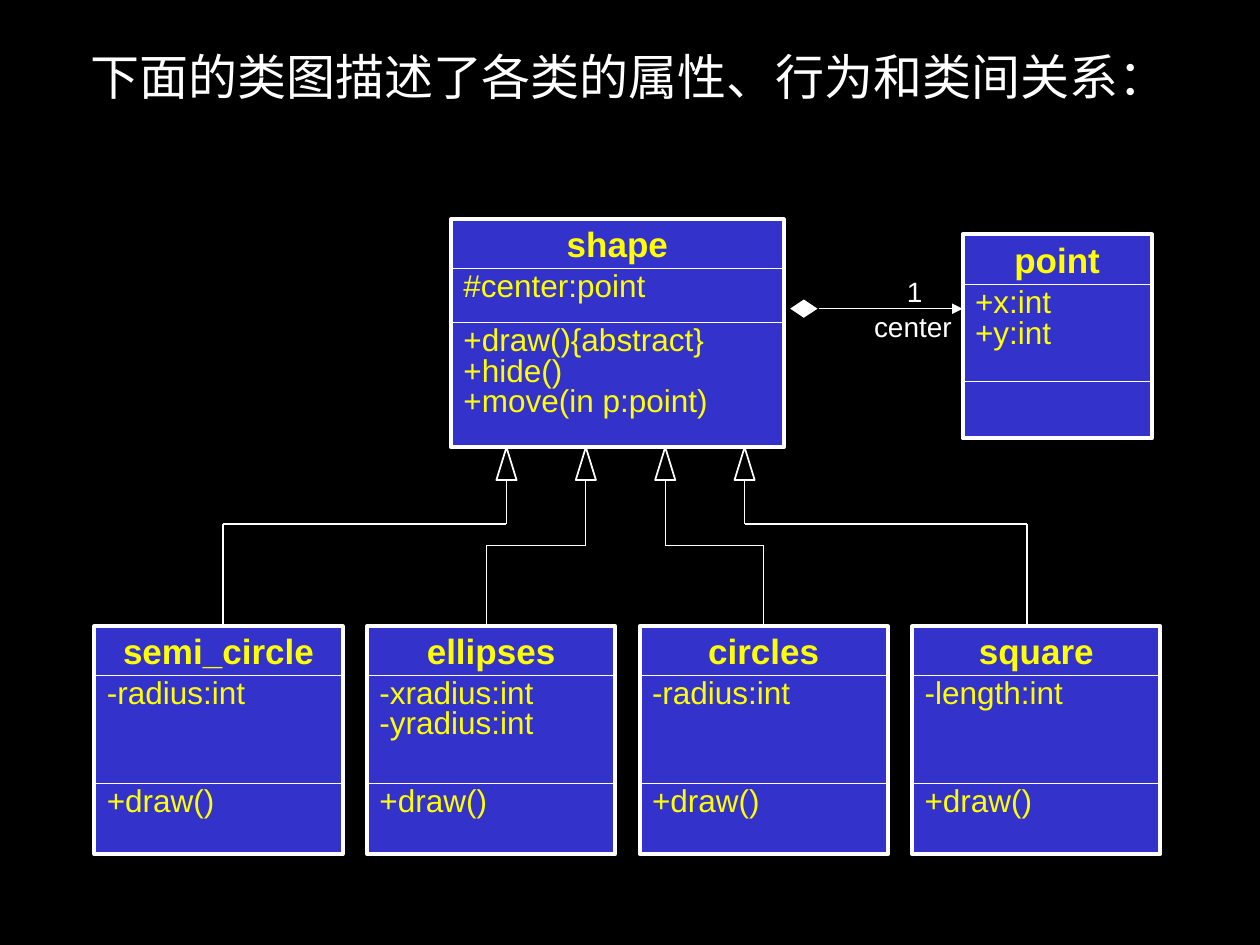
from lxml import etree
from pptx import Presentation
from pptx.dml.color import RGBColor
from pptx.enum.shapes import MSO_CONNECTOR, MSO_SHAPE
from pptx.enum.text import MSO_ANCHOR, PP_ALIGN
from pptx.oxml.ns import qn
from pptx.util import Inches, Pt

RECTANGLE, DIAMOND = MSO_SHAPE.RECTANGLE, MSO_SHAPE.DIAMOND
TRIANGLE = MSO_SHAPE.ISOSCELES_TRIANGLE
STRAIGHT = MSO_CONNECTOR.STRAIGHT
TOP, MIDDLE = MSO_ANCHOR.TOP, MSO_ANCHOR.MIDDLE
LEFT, CENTER = PP_ALIGN.LEFT, PP_ALIGN.CENTER

BLACK, WHITE, BLUE, YELLOW = "000000", "FFFFFF", "3333CC", "FFFF00"

# Text formats: frame, paragraph and font values
NAME = {
    "frame": {"vertical_anchor": MIDDLE, "margin_top": 0, "margin_bottom": 0, "word_wrap": False},
    "para": {"alignment": CENTER},
    "font": {"size": Pt(20), "bold": True},
    "color": YELLOW,
}
MEMBER = {
    "frame": {"vertical_anchor": TOP, "margin_top": Inches(0.04), "margin_bottom": 0,
              "word_wrap": False},
    "para": {"alignment": LEFT, "line_spacing": 0.8},
    "font": {"size": Pt(18)},
    "color": YELLOW,
}
LABEL = {
    "frame": {**NAME["frame"], "margin_left": 0, "margin_right": 0},
    "para": {"alignment": CENTER},
    "font": {"size": Pt(16)},
    "color": WHITE,
}
TITLE = {
    "frame": {"vertical_anchor": TOP, "word_wrap": True},
    "para": {"line_spacing": 1.5, "space_before": Pt(7)},
    "font": {"size": Pt(28)},
    "color": WHITE,
}

# Subclasses: name, attributes, x of the link at the box, y of its bend
CHILDREN = [
    ("semi_circle", ["-radius:int"], 1.77, 4.16),
    ("ellipses", ["-xradius:int", "-yradius:int"], 3.86, 4.33),
    ("circles", ["-radius:int"], 6.06, 4.33),
    ("square", ["-length:int"], 8.15, 4.16),
]
CHILD_LEFT, CHILD_TOP, CHILD_WIDTH = 0.75, 4.97, 1.97
CHILD_STEP = (7.24 - CHILD_LEFT) / (len(CHILDREN) - 1)
ARROW_X, ARROW_STEP, ARROW_TOP = 4.02, 0.63, 3.55
ARROW_WIDTH, ARROW_HEIGHT = 0.16, 0.26


def rgb(color):
    return RGBColor.from_string(color)


def set_values(target, values):
    for key, value in values.items():
        setattr(target, key, value)


def write_text(box, lines, style):
    frame = box.text_frame
    set_values(frame, style["frame"])
    for index, line in enumerate(lines):
        para = frame.paragraphs[0] if index == 0 else frame.add_paragraph()
        set_values(para, style["para"])
        span = para.add_run()
        span.text = line
        set_values(span.font, {"name": "Arial", **style["font"]})
        span.font.color.rgb = rgb(style["color"])


def add_text(shapes, bounds, text, style):
    box = shapes.add_textbox(*map(Inches, bounds))
    write_text(box, [text], style)
    return box


def add_outline(shapes, kind, bounds, fill=None, line=WHITE, width=0.75):
    box = shapes.add_shape(kind, *map(Inches, bounds))
    box.shadow.inherit = False
    if fill:
        box.fill.solid()
        box.fill.fore_color.rgb = rgb(fill)
    else:
        box.fill.background()
    box.line.color.rgb = rgb(line)
    box.line.width = Pt(width)
    return box


def add_line(shapes, start, end, arrow=False):
    line = shapes.add_connector(STRAIGHT, *map(Inches, (*start, *end)))
    line.line.color.rgb = rgb(WHITE)
    line.line.width = Pt(0.75)
    properties = line._element.spPr
    if arrow:
        etree.SubElement(properties.find(qn("a:ln")), qn("a:tailEnd"), type="triangle")
    etree.SubElement(properties, qn("a:effectLst"))
    return line


def add_class(shapes, left, top, width, heights, name, attributes, methods):
    """Stack the three compartments and return the frame around them."""
    y = top
    contents = [([name], NAME), (attributes, MEMBER), (methods, MEMBER)]
    for height, (lines, style) in zip(heights, contents):
        cell = add_outline(shapes, RECTANGLE, (left, y, width, height), BLUE)
        write_text(cell, lines, style)
        y += height
    return add_outline(shapes, RECTANGLE, (left, top, width, y - top), width=2.25)


def add_inheritance(shapes, frame, tip_x, bend_y, foot_x):
    add_outline(shapes, TRIANGLE,
                (tip_x - ARROW_WIDTH / 2, ARROW_TOP, ARROW_WIDTH, ARROW_HEIGHT), width=1)
    # A foot next to the middle of the top side is moved there and joined
    middle = (frame.left + frame.width / 2) / Inches(1)
    joined = abs(middle - foot_x) < 0.02
    if joined:
        foot_x = middle
    points = [(tip_x, ARROW_TOP + ARROW_HEIGHT), (tip_x, bend_y),
              (foot_x, bend_y), (foot_x, CHILD_TOP)]
    for start, end in zip(points, points[1:]):
        line = add_line(shapes, start, end)
    if joined:
        line.end_connect(frame, 0)


def add_association(shapes):
    add_outline(shapes, DIAMOND, (6.26, 2.37, 0.24, 0.16), WHITE, BLACK)
    add_line(shapes, (6.5, 2.45), (7.64, 2.45), arrow=True)
    add_text(shapes, (6.89, 2.49, 0.71, 0.2), "center", LABEL)
    add_text(shapes, (7.16, 2.21, 0.2, 0.2), "1", LABEL)


def main():
    deck = Presentation()
    deck.slide_width, deck.slide_height = Inches(10), Inches(7.5)
    page = deck.slides.add_slide(deck.slide_layouts[6])
    page.background.fill.solid()
    page.background.fill.fore_color.rgb = rgb(BLACK)

    def new_group():
        return page.shapes.add_group_shape().shapes

    # Title with a first-line indent
    title = add_text(page.shapes, (0.27, 0.09, 9.45, 7.28),
                     "下面的类图描述了各类的属性、行为和类间关系：", TITLE)
    title.text_frame.paragraphs[0]._p.get_or_add_pPr().set("indent", str(Inches(0.35)))

    # Base class, its center point and the link between them
    add_class(new_group(), 3.58, 1.74, 2.64, (0.39, 0.43, 0.99), "shape",
              ["#center:point"], ["+draw(){abstract}", "+hide()", "+move(in p:point)"])
    add_class(new_group(), 7.64, 1.86, 1.5, (0.4, 0.77, 0.45), "point",
              ["+x:int", "+y:int"], [])
    add_association(new_group())

    # Subclasses with their inheritance arrows
    for index, (name, attributes, foot_x, bend_y) in enumerate(CHILDREN):
        group = new_group()
        frame = add_class(group, CHILD_LEFT + index * CHILD_STEP, CHILD_TOP, CHILD_WIDTH,
                          (0.39, 0.86, 0.56), name, attributes, ["+draw()"])
        add_inheritance(group, frame, ARROW_X + index * ARROW_STEP, bend_y, foot_x)

    deck.save("out.pptx")


if __name__ == "__main__":
    main()
